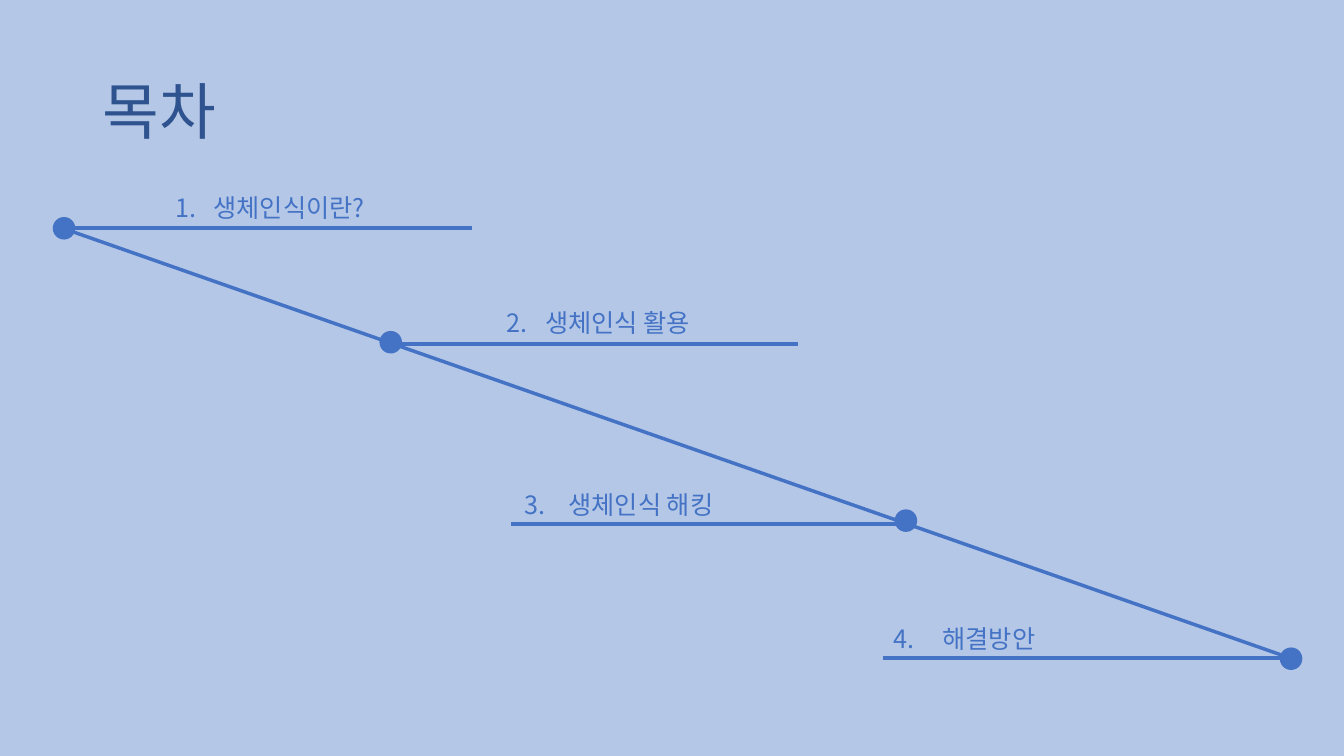
from pptx import Presentation
from pptx.util import Inches, Pt
from pptx.dml.color import RGBColor
from pptx.enum.shapes import MSO_CONNECTOR as Conn, MSO_SHAPE as Shape
from pptx.enum.text import MSO_ANCHOR as Anchor, PP_ALIGN as Align
from pptx.oxml.ns import qn
from lxml.etree import SubElement

# Content
TITLE = "목차"
# number, wording, box (left, top, width), indent, gap after the number
ITEMS = [
    ("1.", "생체인식이란?", (1.38, 1.86, 2.66), 0.26, 0.38),
    ("2.", "생체인식 활용", (4.65, 3.0, 2.59), 0.28, 0.38),
    ("3.", "생체인식 해킹", (5.1, 4.81, 2.36), 0, 0.44),
    ("4.", "해결방안", (8.76, 6.13, 1.76), 0, 0.49),
]
# dot (left, top), rule (start, end, height)
STOPS = [
    ((0.53, 2.16), (0.74, 4.68, 2.26)),
    ((3.77, 3.29), (3.98, 7.91, 3.41)),
    ((8.88, 5.06), (5.07, 9, 5.2)),
    ((12.7, 6.43), (8.76, 12.7, 6.53)),
]
DOT = 0.21
FONT = "Noto Sans CJK KR"
BACK, BLUE, NAVY = "B4C7E7", "4472C4", "2E538E"


def paint(target, color):
    target.solid()
    target.fore_color.rgb = RGBColor.from_string(color)


def add_run(para, text, size, color):
    run = para.add_run()
    run.text = text
    run.font.size = Pt(size)
    run.font.name = FONT
    paint(run.font.fill, color)
    SubElement(run.font._element, qn("a:ea")).set("typeface", FONT)


def add_line(x1, y1, x2, y2, width):
    line = slide.shapes.add_connector(
        Conn.STRAIGHT, Inches(x1), Inches(y1), Inches(x2), Inches(y2))
    paint(line.line.fill, BLUE)
    line.line.width = Pt(width)
    SubElement(line._element.spPr, qn("a:effectLst"))


def add_item(num, words, box, indent, gap):
    left, top, width = box
    frame = slide.shapes.add_textbox(
        Inches(left), Inches(top), Inches(width), Inches(0.4)).text_frame
    frame.word_wrap = True
    para = frame.paragraphs[0]
    para.alignment = Align.LEFT
    # Hanging indent lines up the wording after the number
    props = para._p.get_or_add_pPr()
    props.set("marL", str(Inches(indent + gap)))
    props.set("indent", str(-Inches(gap)))
    add_run(para, f"{num}\t{words}", 18, BLUE)


def add_dot(left, top):
    dot = slide.shapes.add_shape(
        Shape.OVAL, Inches(left), Inches(top), Inches(DOT), Inches(DOT))
    dot.shadow.inherit = False
    paint(dot.fill, BLUE)
    paint(dot.line.fill, BLUE)
    dot.line.width = Pt(1)


# Slide and background
deck = Presentation()
deck.slide_width, deck.slide_height = Inches(13.33), Inches(7.5)
slide = deck.slides.add_slide(deck.slide_layouts[5])
paint(slide.background.fill, BACK)

# Title
title = slide.shapes.title
title.left, title.top = Inches(0.92), Inches(0.57)
title.width, title.height = Inches(11.5), Inches(1.14)
title.text_frame.vertical_anchor = Anchor.MIDDLE
head = title.text_frame.paragraphs[0]
head.alignment = Align.LEFT
head.line_spacing = 0.9
add_run(head, TITLE, 44, NAVY)

# Diagonal, items, dots and rules
add_line(0.61, 2.26, 12.8, 6.53, 2.5)
for item in ITEMS:
    add_item(*item)
for dot, (start, end, y) in STOPS:
    add_dot(*dot)
    add_line(start, y, end, y, 3)

deck.save("out.pptx")
